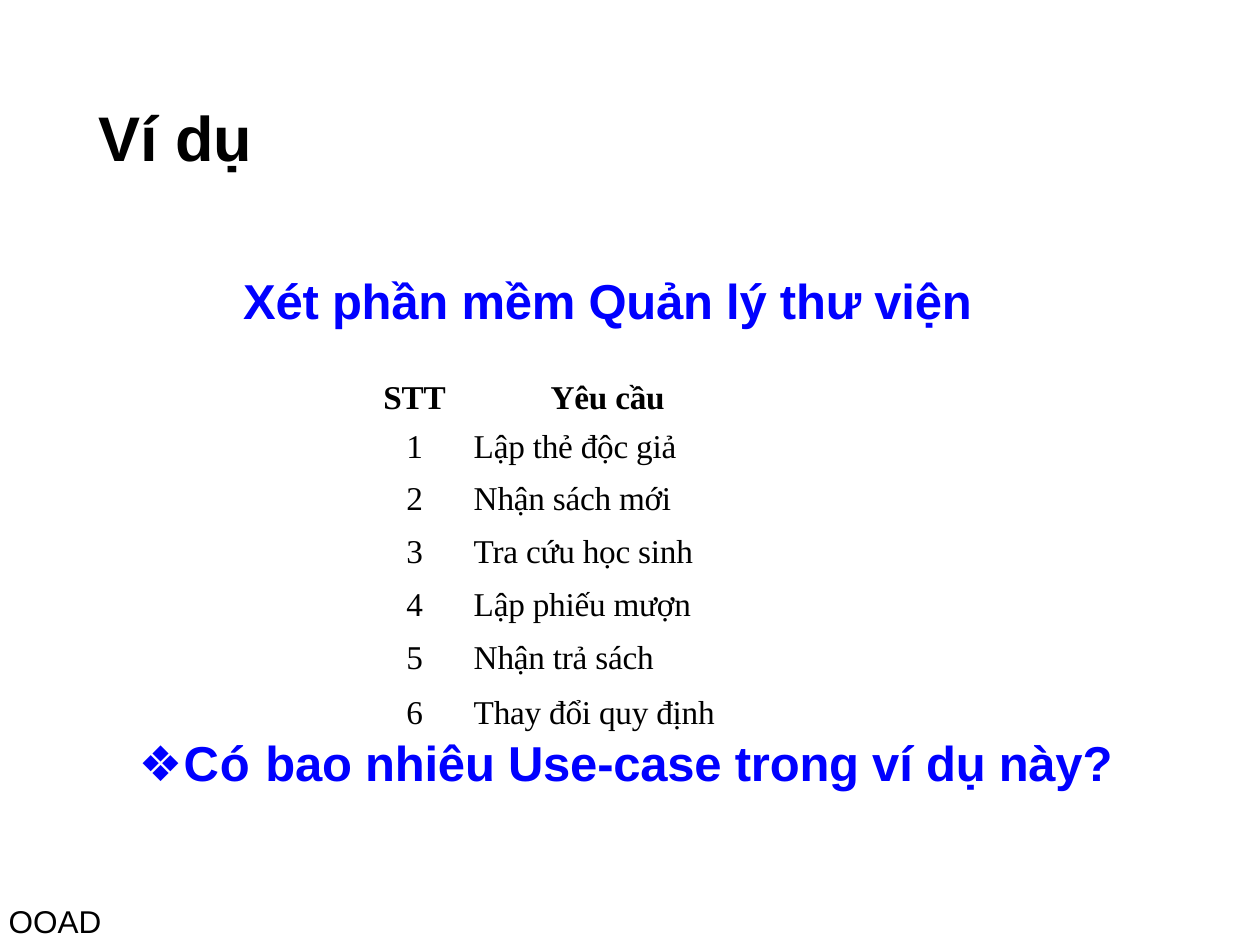
"""Build the library use-case example slide."""
import dataclasses

import pptx
import pptx.dml.color
import pptx.enum.text
import pptx.util

ALIGN = pptx.enum.text.PP_ALIGN


@dataclasses.dataclass(frozen=True)
class Theme:
    """Hold the colours, fonts and type sizes of the slide."""
    ink: str = "000000"
    accent: str = "0000FF"
    sans: str = "Arial"
    serif: str = "Times New Roman"
    title: int = 36
    body: int = 28
    table: int = 19
    footer: int = 18


THEME = Theme()
REQUIREMENTS = [
    "Lập thẻ độc giả",
    "Nhận sách mới",
    "Tra cứu học sinh",
    "Lập phiếu mượn",
    "Nhận trả sách",
    "Thay đổi quy định",
]


def share_x(deck, percent):
    """Return a percentage of the slide width."""
    return round(deck.slide_width * percent / 100)


def share_y(deck, percent):
    """Return a percentage of the slide height."""
    return round(deck.slide_height * percent / 100)


def frame(deck, left, top, width, height):
    """Turn percentages of the slide into a position and size."""
    return (share_x(deck, left), share_y(deck, top),
            share_x(deck, width), share_y(deck, height))


def add_span(para, text, size, font=THEME.sans, color=THEME.ink, bold=False, spacing=0):
    """Add a formatted run to a paragraph."""
    span = para.add_run()
    span.text = text
    span.font.size = pptx.util.Pt(size)
    span.font.name = font
    span.font.bold = bold
    span.font.color.rgb = pptx.dml.color.RGBColor.from_string(color)
    if spacing:
        span.font._element.set("spc", str(round(spacing * 100)))


def set_para(para, align=ALIGN.LEFT, indent=0.01, before=0, line=None):
    """Set the alignment, left margin and spacing of a paragraph."""
    para.alignment = align
    para.space_before = pptx.util.Pt(before)
    if line:
        para.line_spacing = pptx.util.Pt(line)
    properties = para._p.get_or_add_pPr()
    properties.set("marL", str(pptx.util.Inches(indent)))
    properties.set("indent", "0")


def prepare_box(box, top_inset=0, **layout):
    """Clear the insets of a text shape and return its paragraph."""
    text_frame = box.text_frame
    text_frame.word_wrap = True
    text_frame.auto_size = pptx.enum.text.MSO_AUTO_SIZE.SHAPE_TO_FIT_TEXT
    text_frame.vertical_anchor = pptx.enum.text.MSO_ANCHOR.TOP
    text_frame.margin_left = text_frame.margin_right = text_frame.margin_bottom = 0
    text_frame.margin_top = pptx.util.Inches(top_inset)
    para = text_frame.paragraphs[0]
    set_para(para, **layout)
    return para


def add_title(deck, page, text):
    """Place and format the title placeholder."""
    box = page.shapes.title
    box.left, box.top, box.width, box.height = frame(deck, 7.7, 10.27, 12.5, 8.4)
    para = prepare_box(box, top_inset=0.01, before=1)
    add_span(para, text, THEME.title, bold=True)


def add_text(deck, page, place, **layout):
    """Add a text box and return its paragraph."""
    return prepare_box(page.shapes.add_textbox(*frame(deck, *place)), **layout)


def fill_cell(cell, text, top_inset=0.03, bold=False, spacing=0, **layout):
    """Write text into an unfilled table cell."""
    cell.fill.background()
    cell.margin_left = cell.margin_right = cell.margin_bottom = 0
    cell.margin_top = pptx.util.Inches(top_inset)
    para = cell.text_frame.paragraphs[0]
    set_para(para, **layout)
    add_span(para, text, THEME.table, font=THEME.serif, bold=bold, spacing=spacing)


def add_requirements(deck, page):
    """Add the numbered table of requirements."""
    last = len(REQUIREMENTS)
    place = frame(deck, 29, 40.27, 29.4, 37.2)
    table = page.shapes.add_table(last + 1, 2, *place).table
    table.first_row = table.horz_banding = False
    for column, width in zip(table.columns, (7.5, 21.9)):
        column.width = share_x(deck, width)
    for index, row in enumerate(table.rows):
        row.height = share_y(deck, 4.67 if index in (0, last) else 5.6)

    header = dict(top_inset=0, bold=True, spacing=-0.1, line=20.7)
    fill_cell(table.cell(0, 0), "STT", align=ALIGN.CENTER, indent=0.03, **header)
    fill_cell(table.cell(0, 1), "Yêu cầu", indent=0.72, **header)
    for number, requirement in enumerate(REQUIREMENTS, start=1):
        layout = dict(before=2.4, line=22.1 if number == last else None)
        fill_cell(table.cell(number, 0), str(number),
                  align=ALIGN.CENTER, indent=0.03, **layout)
        fill_cell(table.cell(number, 1), requirement,
                  indent=0.11, spacing=-0.1, **layout)


def main():
    """Build and save the slide."""
    deck = pptx.Presentation()
    deck.slide_width = pptx.util.Inches(10)
    deck.slide_height = pptx.util.Inches(7.5)
    page = deck.slides.add_slide(deck.slide_layouts.get_by_name("Title Only"))
    add_title(deck, page, "Ví dụ")

    accent = dict(size=THEME.body, color=THEME.accent)
    question = add_text(deck, page, (10.9, 77.87, 78.2, 6.13), line=31.9)
    add_span(question, "❖", spacing=0.6, **accent)
    add_span(question, "Có ", bold=True, spacing=0.6, **accent)
    add_span(question, "bao nhiêu Use-case trong ví dụ này?",
             bold=True, spacing=-0.1, **accent)

    footer = add_text(deck, page, (0.6, 95.6, 7.7, 4.13), line=20.9)
    add_span(footer, "OOAD", THEME.footer)

    add_requirements(deck, page)

    subject = add_text(deck, page, (19.2, 28.53, 58.6, 6.53),
                       top_inset=0.01, before=0.9)
    add_span(subject, "Xét phần mềm Quản lý thư viện",
             bold=True, spacing=-0.1, **accent)
    deck.save("out.pptx")


if __name__ == "__main__":
    main()
